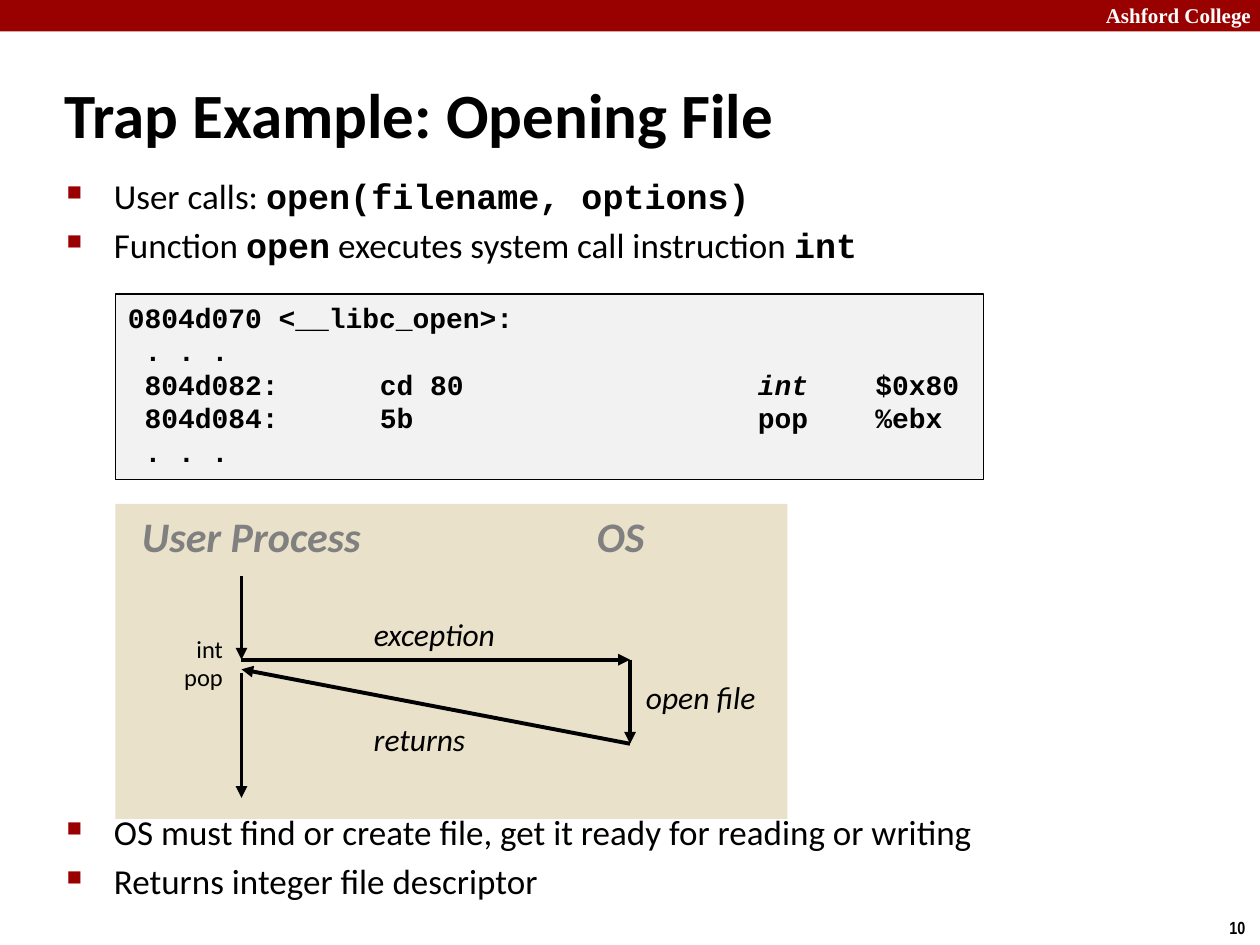
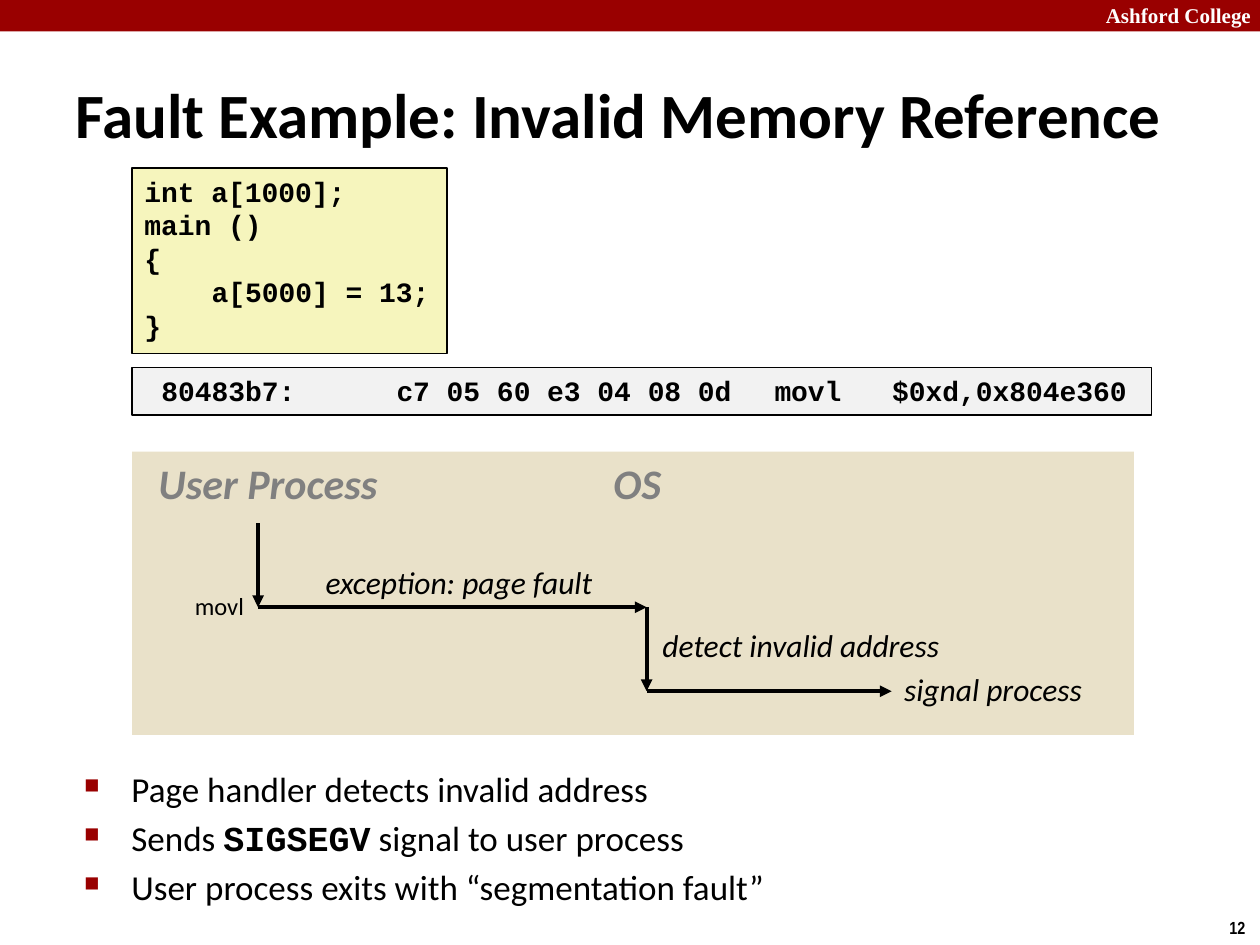
from lxml.etree import SubElement
from pptx import Presentation
from pptx.dml.color import RGBColor
from pptx.enum.shapes import MSO_CONNECTOR, MSO_SHAPE
from pptx.enum.text import MSO_ANCHOR, PP_ALIGN
from pptx.oxml.ns import qn
from pptx.util import Pt

BLACK = RGBColor(0x00, 0x00, 0x00)
WHITE = RGBColor(0xFF, 0xFF, 0xFF)
RED = RGBColor(0x99, 0x00, 0x00)
GRAY = RGBColor(0x80, 0x80, 0x80)
PANEL_TAN = RGBColor(0xE9, 0xE1, 0xC9)
SOURCE_YELLOW = RGBColor(0xF6, 0xF5, 0xBD)
LISTING_GRAY = RGBColor(0xF2, 0xF2, 0xF2)

BODY_FONT = "Calibri"
CODE_FONT = "Courier New"
CODE_CHARACTER = 9.6  # width of one 16 pt character
LISTING_TABS = (CODE_CHARACTER, 144, 360, 360 + 7 * CODE_CHARACTER)

# Positions inside a control-flow diagram, measured from its corner
PROCESS_X, OS_X = 72, 294
TRAP_Y, HANDLED_Y = 89, 137


class Deck:
    """Holds the shared style, the current slide and the corner of its diagram."""

    def __init__(self):
        self.presentation = Presentation()
        self.presentation.slide_width = Pt(720)
        self.presentation.slide_height = Pt(540)
        self.slide = None
        self.corner = (0, 0)

    def add_slide(self, title, number, left, width):
        self.slide = self.presentation.slides.add_slide(self.presentation.slide_layouts[6])
        self.rectangle(0, 0, 720, 18, RED)
        self.text("Ashford College", 622, -2, 100, 22, 12, font="Times New Roman",
                  color=WHITE, bold=True, align=PP_ALIGN.RIGHT)
        self.text(number, 695.5, 520.5, 25, 19, 10, font="Arial Narrow", bold=True)
        self.text(title, left, 42, width, 45, 36, bold=True, anchor=MSO_ANCHOR.MIDDLE)

    def rectangle(self, left, top, width, height, fill, outlined=False):
        shape = self.slide.shapes.add_shape(
            MSO_SHAPE.RECTANGLE, Pt(left), Pt(top), Pt(width), Pt(height))
        shape.shadow.inherit = False
        shape.fill.solid()
        shape.fill.fore_color.rgb = fill
        if outlined:
            shape.line.color.rgb = BLACK
            shape.line.width = Pt(1)
        else:
            shape.line.fill.background()
        return shape

    def text_box(self, left, top, width, height, anchor=MSO_ANCHOR.TOP):
        box = self.slide.shapes.add_textbox(Pt(left), Pt(top), Pt(width), Pt(height))
        box.text_frame.word_wrap = True
        box.text_frame.vertical_anchor = anchor
        return box.text_frame

    def set_font(self, paragraph, size, font=BODY_FONT, color=BLACK, bold=False, italic=False):
        paragraph.font.name = font
        paragraph.font.size = Pt(size)
        paragraph.font.color.rgb = color
        paragraph.font.bold = bold
        paragraph.font.italic = italic

    def text(self, text, left, top, width, height, size,
             align=PP_ALIGN.LEFT, anchor=MSO_ANCHOR.TOP, **style):
        paragraph = self.text_box(left, top, width, height, anchor).paragraphs[0]
        paragraph.text = text
        paragraph.alignment = align
        self.set_font(paragraph, size, **style)

    def paragraphs(self, frame, lines):
        """Yield each new paragraph with its runs; backticks set off the special runs."""
        for index, line in enumerate(lines):
            paragraph = frame.add_paragraph() if index else frame.paragraphs[0]
            special = []
            for position, part in enumerate(line.split("`")):
                if part:
                    run = paragraph.add_run()
                    run.text = part
                    if position % 2:
                        special.append(run)
            yield paragraph, special

    def bullets(self, lines, left, top, width, height):
        frame = self.text_box(left, top, width, height)
        for paragraph, code_runs in self.paragraphs(frame, lines):
            paragraph.space_before = Pt(4)
            properties = paragraph._p.get_or_add_pPr()
            properties.set("marL", str(Pt(27)))
            properties.set("indent", str(-Pt(27)))
            color = SubElement(properties, qn("a:buClr"))
            SubElement(color, qn("a:srgbClr"), val=str(RED))
            SubElement(properties, qn("a:buSzPct"), val="60000")
            SubElement(properties, qn("a:buChar"), char="■")
            self.set_font(paragraph, 20)
            for run in code_runs:
                run.font.name = CODE_FONT
                run.font.bold = True

    def code(self, lines, left, top, width, height, fill, tabs):
        frame = self.rectangle(left, top, width, height, fill, outlined=True).text_frame
        frame.word_wrap = True
        frame.vertical_anchor = MSO_ANCHOR.TOP
        for paragraph, italic_runs in self.paragraphs(frame, lines):
            paragraph.alignment = PP_ALIGN.LEFT
            tab_list = SubElement(paragraph._p.get_or_add_pPr(), qn("a:tabLst"))
            for tab in tabs:
                SubElement(tab_list, qn("a:tab"), pos=str(Pt(tab)), algn="l")
            self.set_font(paragraph, 16, font=CODE_FONT, bold=True)
            for run in italic_runs:
                run.font.italic = True

    def diagram(self, left, top, width, height):
        """Draw what every control-flow diagram has: panel, headings, first three arrows."""
        self.corner = (left, top)
        self.rectangle(left, top, width, height, PANEL_TAN)
        for heading, x, heading_width in (("User Process", 8, 150), ("OS", 268, 50)):
            self.text(heading, left + x, top, heading_width, 36, 24,
                      color=GRAY, bold=True, italic=True)
        self.arrow((PROCESS_X, 41), (PROCESS_X, TRAP_Y))
        self.arrow((PROCESS_X, TRAP_Y), (OS_X, TRAP_Y))
        self.arrow((OS_X, TRAP_Y), (OS_X, HANDLED_Y))

    def arrow(self, start, end):
        left, top = self.corner
        connector = self.slide.shapes.add_connector(
            MSO_CONNECTOR.STRAIGHT, Pt(left + start[0]), Pt(top + start[1]),
            Pt(left + end[0]), Pt(top + end[1]))
        connector.line.color.rgb = BLACK
        connector.line.width = Pt(2.25)
        properties = connector.element.spPr
        SubElement(properties.find(qn("a:ln")), qn("a:tailEnd"), type="triangle")
        SubElement(properties, qn("a:effectLst"))

    def label(self, text, x, y, width):
        left, top = self.corner
        self.text(text, left + x, top + y, width, 29, 18, italic=True)

    def instruction(self, name, right, y):
        left, top = self.corner
        self.text(name, left + right - 50, top + y, 50, 24, 14, align=PP_ALIGN.RIGHT)


def add_trap_slide(deck):
    deck.add_slide("Trap Example: Opening File", "10", 30, 436)
    deck.diagram(66, 288, 384, 180)
    deck.arrow((OS_X, HANDLED_Y), (PROCESS_X, 94.5))
    deck.arrow((PROCESS_X, 96.5), (PROCESS_X, 168))
    deck.label("exception", 140.5, 60, 90)
    deck.label("open file", 296, 96, 96)
    deck.label("returns", 140.5, 120, 72)
    deck.instruction("int", 68.5, 70.5)
    deck.instruction("pop", 68.5, 86.5)
    deck.bullets(["User calls: `open(filename, options)`",
                  "Function `open` executes system call instruction `int`"],
                 31, 96, 659, 64)
    deck.bullets(["OS must find or create file, get it ready for reading or writing",
                  "Returns integer file descriptor"],
                 31, 459.5, 659, 64)
    deck.code(["0804d070 <__libc_open>:",
               "\t. . .",
               "\t804d082:\tcd 80\t`int`\t$0x80",
               "\t804d084:\t5b\tpop\t%ebx",
               "\t. . ."],
              66, 168, 496, 106, LISTING_GRAY, LISTING_TABS)


def add_fault_slide(deck):
    deck.add_slide("Fault Example: Invalid Memory Reference", "12", 36, 684)
    deck.bullets(["Page handler detects invalid address",
                  "Sends `SIGSEGV` signal to user process",
                  "User process exits with “segmentation fault”"],
                 41, 435, 528, 99)
    deck.code(["int a[1000];", "main ()", "{", "\ta[5000] = 13;", "}"],
              75.5, 96, 180, 106, SOURCE_YELLOW, [4 * CODE_CHARACTER])
    deck.code(["\t80483b7:\tc7 05 60 e3 04 08 0d\tmovl\t$0xd,0x804e360"],
              75.5, 210, 582.5, 27, LISTING_GRAY, LISTING_TABS)
    deck.diagram(75.5, 258, 572.5, 162)
    deck.arrow((OS_X, HANDLED_Y), (434, HANDLED_Y))
    deck.label("exception: page fault", 103.5, 60, 172)
    deck.label("detect invalid address", 296, 96, 180)
    deck.label("signal process", 434, 121.5, 126)
    deck.instruction("movl", 71, 76)


def main():
    deck = Deck()
    add_trap_slide(deck)
    add_fault_slide(deck)
    deck.presentation.save("out.pptx")


if __name__ == "__main__":
    main()
